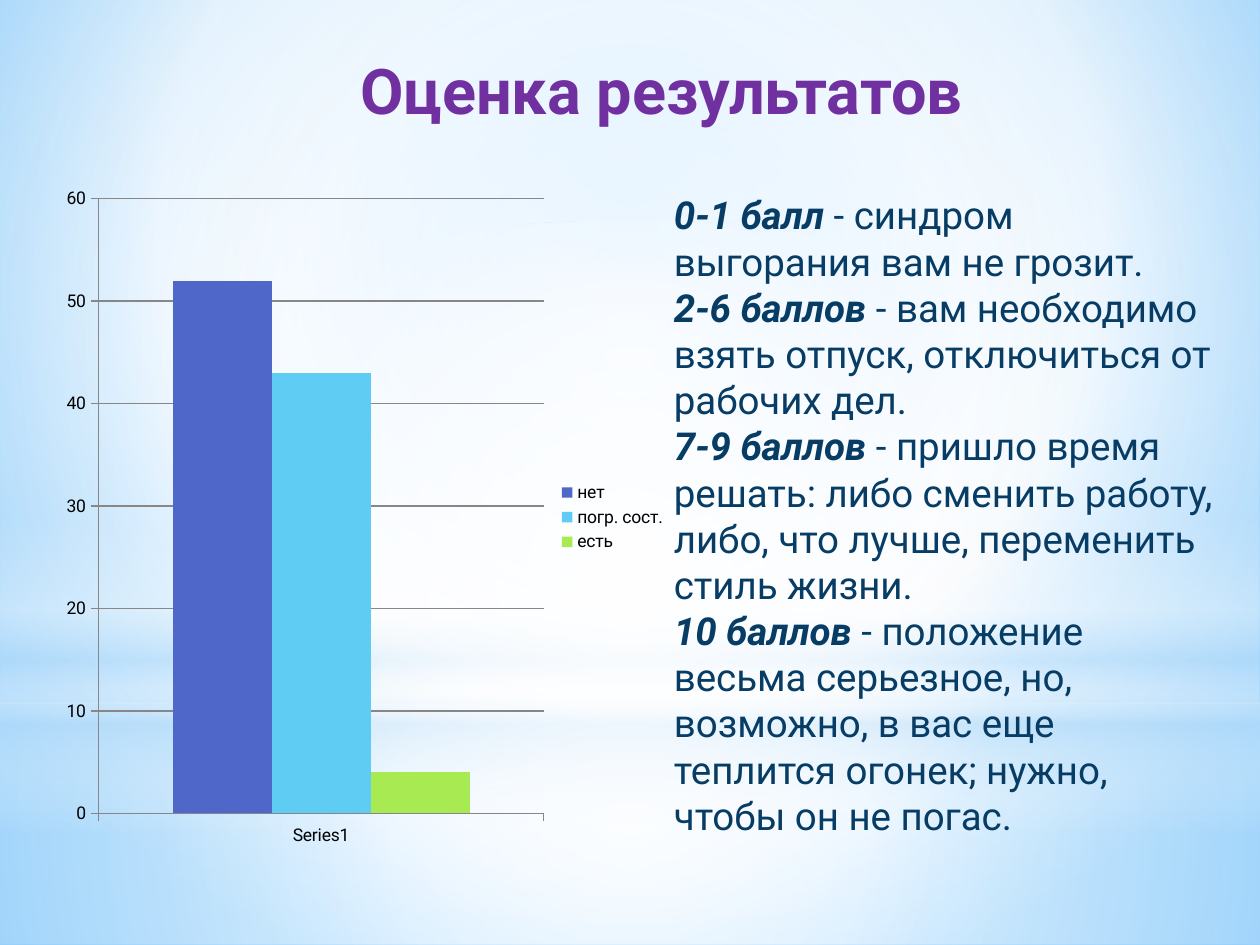
from lxml import etree
from pptx import Presentation
from pptx.chart.data import CategoryChartData
from pptx.dml.color import RGBColor
from pptx.enum.chart import XL_CHART_TYPE, XL_LEGEND_POSITION, XL_TICK_MARK
from pptx.enum.shapes import MSO_SHAPE
from pptx.enum.text import MSO_ANCHOR, MSO_AUTO_SIZE, PP_ALIGN
from pptx.oxml.ns import qn
from pptx.util import Inches, Pt

RECTANGLE, OVAL = MSO_SHAPE.RECTANGLE, MSO_SHAPE.OVAL
COLUMNS = XL_CHART_TYPE.COLUMN_CLUSTERED
RIGHT = XL_LEGEND_POSITION.RIGHT
TICK_OUT = XL_TICK_MARK.OUTSIDE
TOP, LEFT, NO_FIT = MSO_ANCHOR.TOP, PP_ALIGN.LEFT, MSO_AUTO_SIZE.NONE
FONT = "Roboto"
GRAY = "878787"
color = RGBColor.from_string


def set_gradient(properties, stops, focus=None):
    gradient = etree.Element(qn("a:gradFill"), rotWithShape="1")
    stop_list = etree.SubElement(gradient, qn("a:gsLst"))
    for position, value, opacity in stops:
        stop = etree.SubElement(stop_list, qn("a:gs"), pos=str(position * 1000))
        stop_color = etree.SubElement(stop, qn("a:srgbClr"), val=value)
        etree.SubElement(stop_color, qn("a:alpha"), val=str(opacity * 1000))
    if focus:
        circle = etree.SubElement(gradient, qn("a:path"))
        circle.set("path", "circle")
        sides = {side: str(share * 1000) for side, share in zip("ltrb", focus)}
        etree.SubElement(circle, qn("a:fillToRect"), sides)
    else:
        etree.SubElement(gradient, qn("a:lin"), ang="5400000", scaled="0")
    properties.replace(properties.find(qn("a:solidFill")), gradient)


def add_text(paragraph, text, size=22, fill="073C65", bold=False, italic=False):
    run = paragraph.add_run()
    run.text = text
    run.font.name = FONT
    run.font.size = Pt(size)
    run.font.bold = bold
    run.font.italic = italic
    run.font.color.rgb = color(fill)


presentation = Presentation()
presentation.slide_width = Inches(10)
presentation.slide_height = Inches(7.5)
slide = presentation.slides.add_slide(presentation.slide_layouts[5])

slide.background.fill.solid()
set_gradient(
    slide.element.find(".//" + qn("p:bgPr")),
    [(0, "9ED5FF", 100), (60, "FFFFFF", 100), (100, "5BB9FF", 100)],
    (20, 10, 20, 60),
)

center = (50, 50, 50, 50)
glows = [
    (RECTANGLE, 5.58, 1.92, center,
     [(0, "FFFFFF", 91), (37, "FFFFFF", 76), (100, "B4DCFA", 79)]),
    (RECTANGLE, 0, 5.58, center,
     [(0, "FFFFFF", 89), (48, "FFFFFF", 62), (100, "B4DCFA", 79)]),
    (RECTANGLE, 4.12, 2.5, None,
     [(0, "FFFFFF", 0), (29, "FFFFFF", 30), (45, "B4DCFA", 40),
      (55, "FFFFFF", 26), (65, "B4DCFA", 60), (100, "FFFFFF", 0)]),
    (OVAL, 1.75, 5.58, center, [(0, "FFFFFF", 100), (56, "FFFFFF", 0)]),
]
for preset, top, height, focus, stops in glows:
    glow = slide.shapes.add_shape(
        preset, 0, Inches(top), presentation.slide_width, Inches(height))
    glow.shadow.inherit = False
    glow.line.fill.background()
    glow.fill.solid()
    set_gradient(glow.element.spPr, stops, focus)

title = slide.shapes.title
title.left, title.top = Inches(2.56), Inches(0.36)
title.width, title.height = Inches(5.43), Inches(0.87)
title.text_frame.vertical_anchor = TOP
title.text_frame.auto_size = NO_FIT
title_paragraph = title.text_frame.paragraphs[0]
title_paragraph.alignment = LEFT
title_properties = title_paragraph._p.get_or_add_pPr()
title_properties.set("marL", str(Inches(0.2)))
title_properties.set("indent", "0")
add_text(title_paragraph, "Оценка результатов", size=36, fill="7030A0", bold=True)
slide.shapes.element.append(title.element)

scores = [
    ("0-1 балл ", "- синдром выгорания вам не грозит."),
    ("2-6 баллов ", "- вам необходимо взять отпуск, отключиться от рабочих дел."),
    ("7-9 баллов ", "- пришло время решать: либо сменить работу, "
                    "либо, что лучше, переменить стиль жизни."),
    ("10 баллов ", "- положение весьма серьезное, но, возможно, "
                   "в вас еще теплится огонек; нужно, чтобы он не погас."),
]
score_box = slide.shapes.add_textbox(
    Inches(5.25), Inches(1.47), Inches(4.48), Inches(5.28))
score_frame = score_box.text_frame
score_frame.word_wrap = True
for index, (score, meaning) in enumerate(scores):
    paragraph = score_frame.add_paragraph() if index else score_frame.paragraphs[0]
    add_text(paragraph, score, bold=True, italic=True)
    add_text(paragraph, meaning)

results = [("нет", 52, "4E67C8"), ("погр. сост.", 43, "5ECCF3"), ("есть", 4, "A7EA52")]
chart_data = CategoryChartData()
chart_data.categories = ["Series1"]
for name, value, _ in results:
    chart_data.add_series(name, [value])
chart = slide.shapes.add_chart(
    COLUMNS, Inches(0.43), Inches(1.39), Inches(4.96), Inches(5.43), chart_data).chart
chart.has_title = False
chart.font.name = FONT
chart.font.size = Pt(10)
chart.font.color.rgb = color("000000")
chart.has_legend = True
chart.legend.position = RIGHT
chart.legend.include_in_layout = False

plot = chart.plots[0]
plot.gap_width = 150
plot.overlap = 0
plot.vary_by_categories = False
for series, (_, _, fill) in zip(plot.series, results):
    series.format.fill.solid()
    series.format.fill.fore_color.rgb = color(fill)

for axis in (chart.category_axis, chart.value_axis):
    axis.major_tick_mark = TICK_OUT
    axis.format.line.color.rgb = color(GRAY)
chart.value_axis.minimum_scale = 0
chart.value_axis.maximum_scale = 60
chart.value_axis.major_unit = 10
chart.value_axis.has_major_gridlines = True
chart.value_axis.major_gridlines.format.line.color.rgb = color(GRAY)

presentation.save("out.pptx")
